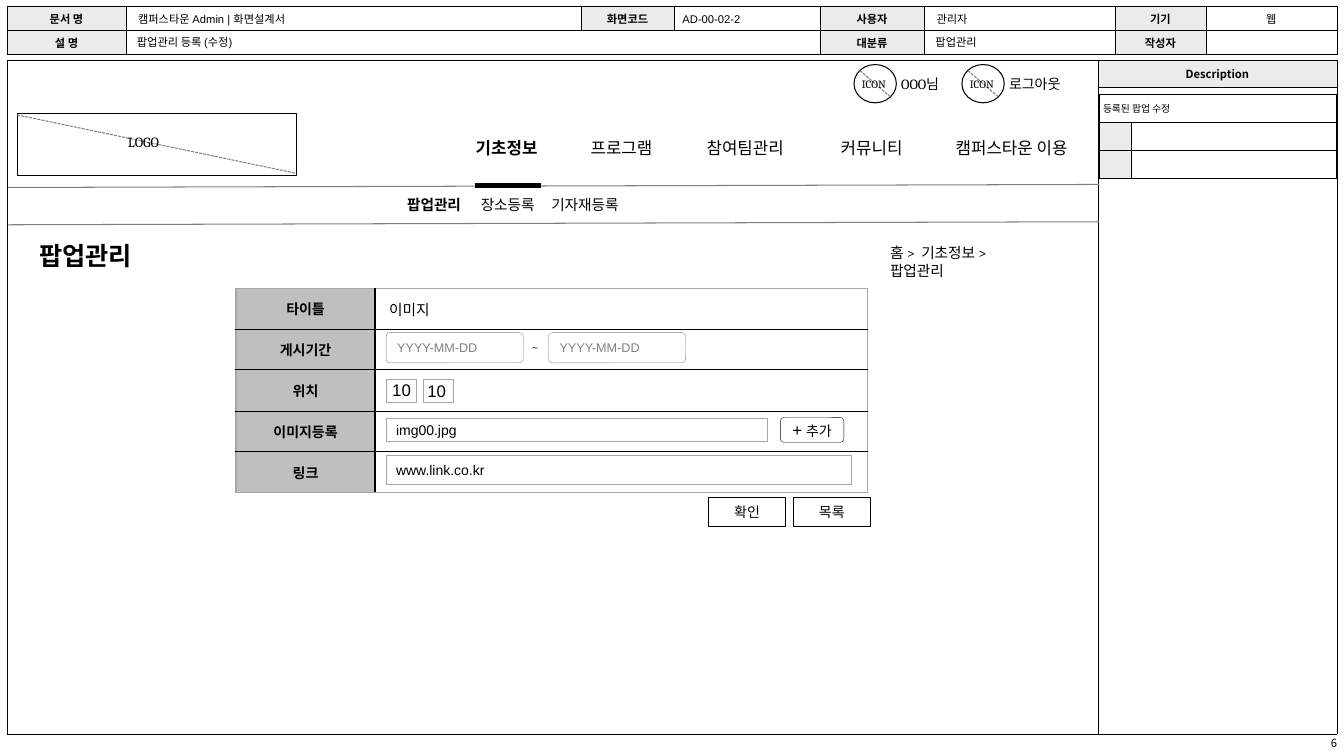
"""Builds the pop-up management (edit) screen specification slide."""
from dataclasses import dataclass
from typing import Optional

import lxml.etree
import pptx
import pptx.dml.color
import pptx.enum.dml
import pptx.enum.shapes
import pptx.enum.text
import pptx.oxml.ns
import pptx.util

EMU_PER_PX = 9144
COLORS = {"black": "000000", "white": "FFFFFF", "label": "EBEBEB", "form": "BFBFBF",
          "edge": "A6A6A6", "muted": "808080"}
SANS, SERIF, KOREAN = "Arial", "Cambria", "Noto Sans CJK KR"
ALIGN = pptx.enum.text.PP_ALIGN
ANCHOR = pptx.enum.text.MSO_ANCHOR
SHAPE = pptx.enum.shapes.MSO_SHAPE
qn = pptx.oxml.ns.qn


@dataclass
class Style:
    size: float
    font: str = SERIF
    bold: bool = False
    color: str = "black"
    align: ALIGN = ALIGN.LEFT


@dataclass
class Label:
    text: str
    left: int
    top: int
    width: int
    height: int
    style: Style
    wrap: bool = True


@dataclass
class Box:
    left: int
    top: int
    width: int
    height: int
    text: str = ""
    style: Optional[Style] = None
    kind: SHAPE = SHAPE.RECTANGLE
    line: str = "black"
    weight: float = 0.75
    fill: Optional[str] = None
    corner: Optional[float] = None
    inset: int = 10


@dataclass
class Line:
    start: tuple[int, int]
    end: tuple[int, int]
    color: str = "muted"
    weight: float = 0.75
    dashed: bool = False


@dataclass
class Cell:
    text: str = ""
    style: Optional[Style] = None
    fill: str = "white"
    margin: int = 1


@dataclass
class Grid:
    left: int
    top: int
    columns: list[int]
    rows: list[int]
    cells: list[list[Cell]]
    merges: tuple = ()
    weight: float = 0.25
    outer: str = "black"


def px(length: int) -> int:
    return pptx.util.Emu(length * EMU_PER_PX)


def rgb(name: str) -> pptx.dml.color.RGBColor:
    return pptx.dml.color.RGBColor.from_string(COLORS[name])


def style_run(run, style: Style) -> None:
    run.font.size = pptx.util.Pt(style.size)
    run.font.bold = style.bold
    run.font.color.rgb = rgb(style.color)
    run.font.name = style.font
    lxml.etree.SubElement(run.font._element, qn("a:ea"), typeface=KOREAN)


def write(frame, text: str, style: Style) -> None:
    frame.text = text
    frame.paragraphs[0].alignment = style.align
    style_run(frame.paragraphs[0].runs[0], style)


def draw_label(slide, label: Label) -> None:
    textbox = slide.shapes.add_textbox(*map(px, (label.left, label.top, label.width, label.height)))
    textbox.text_frame.word_wrap = label.wrap
    write(textbox.text_frame, label.text, label.style)


def draw_box(slide, box: Box):
    shape = slide.shapes.add_shape(box.kind, *map(px, (box.left, box.top, box.width, box.height)))
    shape.shadow.inherit = False
    if box.corner is not None:
        shape.adjustments[0] = box.corner
    if box.fill:
        shape.fill.solid()
        shape.fill.fore_color.rgb = rgb(box.fill)
    else:
        shape.fill.background()
    shape.line.color.rgb = rgb(box.line)
    shape.line.width = pptx.util.Pt(box.weight)
    if box.style:
        frame = shape.text_frame
        frame.margin_left = frame.margin_right = px(box.inset)
        frame.vertical_anchor = ANCHOR.MIDDLE
        write(frame, box.text, box.style)
    return shape


def draw_line(slide, line: Line) -> None:
    connector = slide.shapes.add_connector(
        pptx.enum.shapes.MSO_CONNECTOR.STRAIGHT, *map(px, line.start + line.end))
    connector.line.color.rgb = rgb(line.color)
    connector.line.width = pptx.util.Pt(line.weight)
    if line.dashed:
        connector.line.dash_style = pptx.enum.dml.MSO_LINE.SQUARE_DOT
    lxml.etree.SubElement(connector._element.spPr, qn("a:effectLst"))


def add_borders(cell, weight: float, edges: dict[str, str]) -> None:
    properties = cell._tc.get_or_add_tcPr()
    for side, color in edges.items():
        border = lxml.etree.SubElement(properties, qn(f"a:ln{side}"), w=str(int(weight * 12700)))
        solid = lxml.etree.SubElement(border, qn("a:solidFill"))
        lxml.etree.SubElement(solid, qn("a:srgbClr"), val=COLORS[color])


def draw_grid(slide, grid: Grid) -> None:
    last_row, last_column = len(grid.rows) - 1, len(grid.columns) - 1
    table = slide.shapes.add_table(
        len(grid.rows), len(grid.columns), px(grid.left), px(grid.top),
        px(sum(grid.columns)), px(sum(grid.rows))).table
    table.first_row = table.horz_banding = False
    for column, width in zip(table.columns, grid.columns):
        column.width = px(width)
    for r, height in enumerate(grid.rows):
        table.rows[r].height = px(height)
        for c, content in enumerate(grid.cells[r]):
            cell = table.cell(r, c)
            outside = {"L": c == 0, "R": c == last_column, "T": r == 0, "B": r == last_row}
            add_borders(cell, grid.weight,
                        {side: grid.outer if out else "black" for side, out in outside.items()})
            cell.fill.solid()
            cell.fill.fore_color.rgb = rgb(content.fill)
            cell.vertical_anchor = ANCHOR.MIDDLE
            cell.margin_left = px(content.margin)
            cell.margin_right = cell.margin_top = cell.margin_bottom = px(1)
            if content.text:
                write(cell.text_frame, content.text, content.style)
            else:
                lxml.etree.SubElement(cell.text_frame.paragraphs[0]._p, qn("a:endParaRPr"), sz="800")
    for first, last in grid.merges:
        table.cell(*first).merge(table.cell(*last))


def heading(text: str) -> Cell:
    return Cell(text, Style(8, KOREAN, True, align=ALIGN.CENTER), "label")


def detail(text: str) -> Cell:
    return Cell(text, Style(8, SANS), margin=12)


def form_row(name: str, value: Optional[Cell] = None) -> list[Cell]:
    return [Cell(name, Style(10, SANS, True, align=ALIGN.CENTER), "form"), value or Cell()]


def main() -> None:
    deck = pptx.Presentation()
    deck.slide_width, deck.slide_height = px(1333), px(750)
    slide = deck.slides.add_slide(deck.slide_layouts[5])

    document = Grid(7, 6, [118, 451, 93, 144, 104, 189, 90, 130], [24, 24], [
        [heading("문서 명"), detail("캠퍼스타운 Admin | 화면설계서"), heading("화면코드"), Cell(),
         heading("사용자"), detail("관리자"), heading("기기"),
         Cell("웹", Style(8, SANS, align=ALIGN.CENTER))],
        [heading("설 명"), Cell(), Cell(), Cell(), heading("대분류"), Cell(),
         heading("작성자"), Cell()]], merges=(((1, 1), (1, 3)),))
    screen = Grid(7, 60, [1082, 237], [26, 642],
                  [[Cell(), heading("Description")], [Cell(), Cell()]], merges=(((0, 0), (1, 0)),))
    description = Grid(1090, 93, [32, 203], [28] * 3, [
        [Cell("등록된 팝업 수정", Style(7, SANS), margin=4), Cell()],
        *[[Cell(fill="label"), Cell()] for _ in range(2)]], merges=(((0, 0), (0, 1)),))
    form = Grid(234, 286, [138, 488], [41, 40, 41, 40, 41], [
        form_row("타이틀", Cell("이미지", Style(10.5), margin=14)), form_row("게시기간"),
        form_row("위치", Cell("10", Style(12, SANS), margin=17)),
        form_row("이미지등록"), form_row("링크")], weight=1, outer="edge")
    for grid in (document, screen, description, form):
        draw_grid(slide, grid)

    title = slide.shapes.title
    title.left, title.top, title.width, title.height = map(px, (29, 233, 205, 40))
    title.text_frame.vertical_anchor = ANCHOR.TOP
    write(title.text_frame, "팝업관리", Style(18, bold=True))
    slide.shapes._spTree.append(title._element)

    for left, caption in ((847, "OOO님"), (954, "로그아웃")):
        draw_box(slide, Box(left, 64, 42, 38, kind=SHAPE.OVAL))
        draw_line(slide, Line((left + 6, 70), (left + 36, 96), dashed=True))
        draw_label(slide, Label("ICON", left - 2, 72, 47, 24, Style(8)))
        draw_label(slide, Label(caption, left + 37, 70, 76, 27, Style(10)))

    draw_box(slide, Box(17, 113, 277, 61))
    for line in (Line((17, 114), (294, 172), dashed=True), Line((8, 186), (1090, 183)),
                 Line((8, 223), (1090, 220)), Line((471, 184), (537, 184), "black", 3)):
        draw_line(slide, line)

    menus = (("기초정보", 462, 94), ("프로그램", 576, 94), ("참여팀관리", 691, 112),
             ("커뮤니티", 824, 94), ("캠퍼스타운 이용", 938, 142))
    submenus = (("팝업관리", 394, 82), ("장소등록", 467, 79), ("기자재등록", 537, 94))
    entries = (("팝업관리 등록 (수정)", 126, 30, 683), ("AD-00-02-2", 667, 7, 143),
               ("팝업관리", 918, 30, 65))
    labels = [Label(text, left, 132, width, 30, Style(12, bold=text == "기초정보"))
              for text, left, width in menus]
    labels += [Label(text, left, 189, width, 28, Style(10.5, bold=text == "팝업관리"), False)
               for text, left, width in submenus]
    labels += [Label(text, left, top, width, 24, Style(8, SANS))
               for text, left, top, width in entries]
    labels += [Label("LOGO", 117, 128, 63, 27, Style(10)),
               Label("홈 >  기초정보 >  팝업관리", 873, 237, 150, 46, Style(10.5)),
               Label("~", 517, 333, 32, 24, Style(8)),
               Label("10", 414, 373, 39, 30, Style(12, SANS), False),
               Label("6", 1090, 726, 246, 24, Style(8, KOREAN, align=ALIGN.RIGHT))]

    boxes = [Box(left, 330, 136, 30, "YYYY-MM-DD", Style(9, SANS, color="muted"),
                 SHAPE.ROUNDED_RECTANGLE, "muted", 0.25, "white", 0.13) for left in (383, 544)]
    boxes += [Box(left, 376, 30, 23, line="edge", weight=0.25) for left in (383, 420)]
    boxes += [Box(left, 494, 76, 28, text, Style(10, align=ALIGN.CENTER))
              for left, text in ((703, "확인"), (787, "목록"))]
    boxes += [Box(383, 415, 378, 23, "img00.jpg", Style(10, SANS), line="edge", weight=0.25),
              Box(383, 452, 462, 29, "www.link.co.kr", Style(10, SANS), line="edge")]
    for box in boxes:
        draw_box(slide, box)
    for label in labels:
        draw_label(slide, label)
    add_button = draw_box(slide, Box(774, 414, 63, 25, "+", Style(12, SANS, align=ALIGN.CENTER),
                                     SHAPE.ROUNDED_RECTANGLE, weight=0.25, inset=4))
    add_caption = add_button.text_frame.paragraphs[0].add_run()
    add_caption.text = " 추가"
    style_run(add_caption, Style(10, SANS))

    deck.save("out.pptx")


if __name__ == "__main__":
    main()
